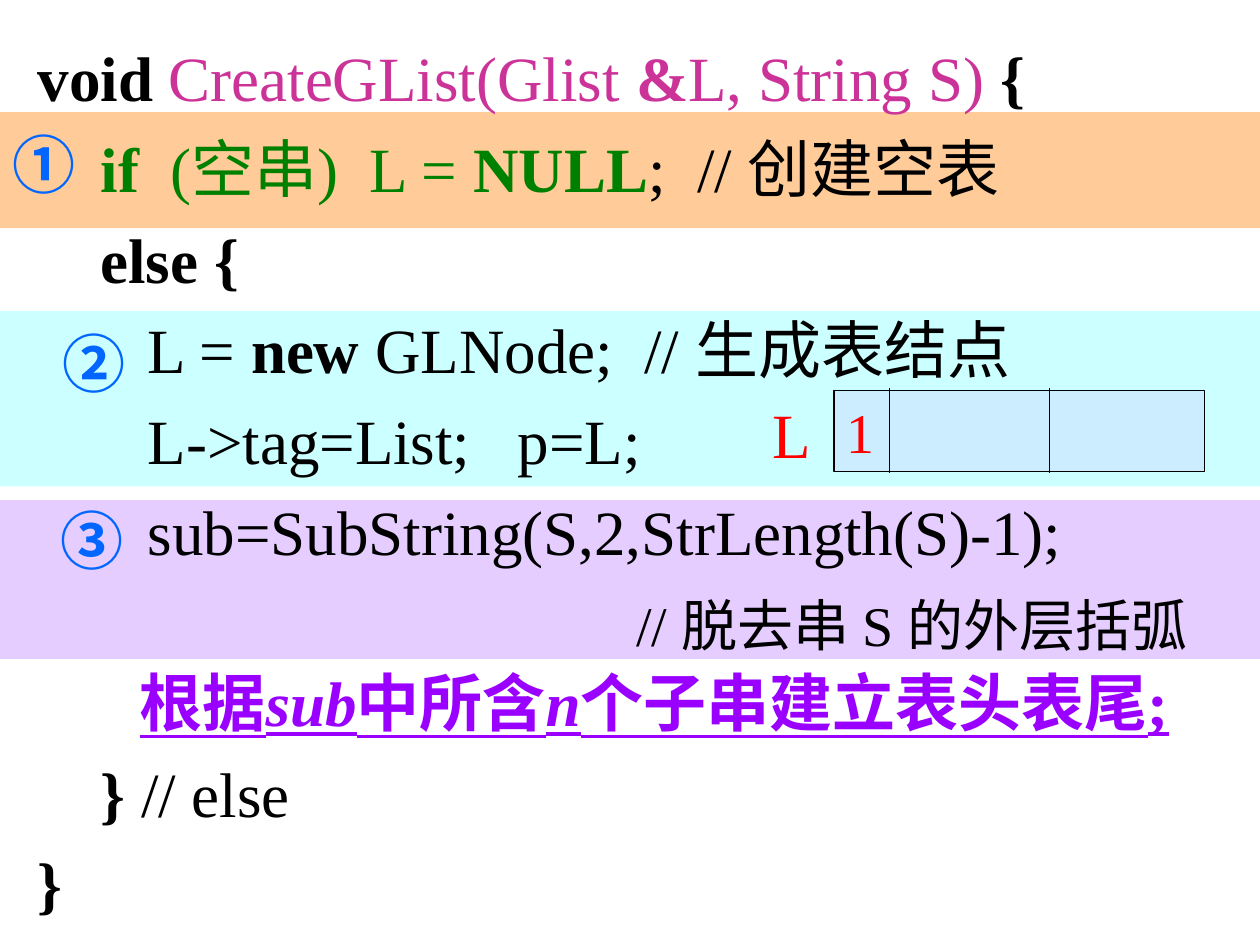
from lxml.etree import SubElement
from pptx import Presentation
from pptx.dml.color import RGBColor
from pptx.enum.shapes import MSO_CONNECTOR, MSO_SHAPE
from pptx.enum.text import MSO_ANCHOR, MSO_AUTO_SIZE, PP_ALIGN
from pptx.oxml.ns import qn
from pptx.util import Inches, Pt

WIDTH, HEIGHT = 10, 7.5
SERIF, SANS = "Times New Roman", "Noto Sans CJK SC"
COLORS = {
    "black": "000000", "signature": "CC3399", "condition": "008000",
    "step": "0066FF", "summary": "9900FF", "value": "FF0000",
    "empty band": "FFCC99", "node band": "CCFFFF", "substring band": "E6CDFF",
    "node": "CCECFF",
}
PLAIN = {"size": Pt(36), "name": SERIF, "color": "black"}
BOLD = {"bold": True}
SIGNATURE = {"color": "signature"}
CONDITION = {"color": "condition"}
ITALIC = {"italic": True}
SUMMARY = {"color": "summary", "bold": True, "underline": True}
STEP = {"color": "step", "bold": True, "name": SANS}
VALUE = {"color": "value"}
SMALL = {"size": Pt(32)}

# Each line of code is a list of (text, format) runs.
CODE = [
    [("void ", BOLD), ("CreateGList(Glist ", SIGNATURE), ("&", SIGNATURE | BOLD),
     ("L, String S) ", SIGNATURE), ("{", BOLD)],
    [("    if", CONDITION | BOLD), ("  (空串)  L = ", CONDITION),
     ("NULL", CONDITION | BOLD), (";  // 创建空表", {})],
    [("    else {", BOLD)],
    [("       ", BOLD), ("L = ", {}), ("new", BOLD), (" GLNode;  // 生成表结点", {})],
    [("       L->tag=List;   p=L;", {})],
    [("       sub=SubString(S,2,StrLength(S)-1);", {})],
    [("                                      ", {}), ("// 脱去串 S 的外层括弧", SMALL)],
    [("    ", {}), ("}", BOLD), (" // else", {})],
    [("}", BOLD)],
]
ELSE_END = 7
SUMMARY_GAP = Pt(46)
SUMMARY_RUNS = [
    ("根据", SUMMARY), ("sub", SUMMARY | ITALIC), ("中所含", SUMMARY),
    ("n", SUMMARY | ITALIC), ("个子串建立表头表尾", SUMMARY), (";", SUMMARY),
]
BANDS = [("substring band", 3.97, 1.26), ("empty band", 0.89, 0.92),
         ("node band", 2.47, 1.39)]
STEPS = [("①", 0, 0.95), ("②", 0.4, 2.53), ("③", 0.38, 3.93)]


def color(name):
    return RGBColor.from_string(COLORS[name])


def add_run(paragraph, text, style):
    run = paragraph.add_run()
    run.text = text
    for attribute, value in (PLAIN | style).items():
        if attribute == "color":
            run.font.color.rgb = color(value)
        else:
            setattr(run.font, attribute, value)
    if style.get("name") == SANS:
        SubElement(run.font._element, qn("a:ea"), typeface=SANS)


def write_lines(text_frame, lines, line_spacing=None):
    for index, runs in enumerate(lines):
        paragraph = text_frame.paragraphs[0] if index == 0 else text_frame.add_paragraph()
        paragraph.alignment = PP_ALIGN.LEFT
        paragraph.line_spacing = line_spacing
        for text, style in runs:
            add_run(paragraph, text, style)


def add_text(shapes, box, lines, wrap=True, line_spacing=None):
    text_frame = shapes.add_textbox(*map(Inches, box)).text_frame
    text_frame.word_wrap = wrap
    text_frame.auto_size = MSO_AUTO_SIZE.SHAPE_TO_FIT_TEXT
    write_lines(text_frame, lines, line_spacing)
    return text_frame


def add_rectangle(shapes, box, fill, line=None):
    shape = shapes.add_shape(MSO_SHAPE.RECTANGLE, *map(Inches, box))
    shape.shadow.inherit = False
    shape.fill.solid()
    shape.fill.fore_color.rgb = color(fill)
    if line:
        shape.line.color.rgb = color(line)
        shape.line.width = Pt(0.75)
    else:
        shape.line.fill.background()
    return shape


def add_divider(shapes, x, top, bottom):
    line = shapes.add_connector(MSO_CONNECTOR.STRAIGHT, *map(Inches, (x, top, x, bottom)))
    line.line.color.rgb = color("black")
    line.line.width = Pt(0.75)
    SubElement(line._element.spPr, qn("a:effectLst"))


def add_list_node(slide):
    """Draw the list node: its tag cell, two empty cells and the pointer name."""
    shapes = slide.shapes.add_group_shape().shapes
    node = add_rectangle(shapes, (6.62, 3.1, 2.94, 0.64), "node", "black")
    node.text_frame.vertical_anchor = MSO_ANCHOR.MIDDLE
    write_lines(node.text_frame, [[("1", VALUE | SMALL)]])
    for x in (7.06, 8.33):
        add_divider(shapes, x, 3.08, 3.75)
    add_text(shapes, (6.03, 3.09, 0.78, 0.7), [[("L", VALUE)]])


def main():
    presentation = Presentation()
    presentation.slide_width, presentation.slide_height = Inches(WIDTH), Inches(HEIGHT)
    slide = presentation.slides.add_slide(presentation.slide_layouts[6])

    for fill, top, height in BANDS:
        add_rectangle(slide.shapes, (0, top, WIDTH, height), fill)
    code = add_text(slide.shapes, (0.2, 0.14, 9.77, 7.22), CODE, False, 1.2)
    code.paragraphs[ELSE_END].space_before = SUMMARY_GAP
    summary = add_text(slide.shapes, (1.01, 5.22, 8.96, 0.7), [SUMMARY_RUNS], False)
    summary.margin_right = 0
    for mark, left, top in STEPS:
        add_text(slide.shapes, (left, top, 1, 0.7), [[(mark, STEP)]])
    add_list_node(slide)

    presentation.save("out.pptx")


if __name__ == "__main__":
    main()
